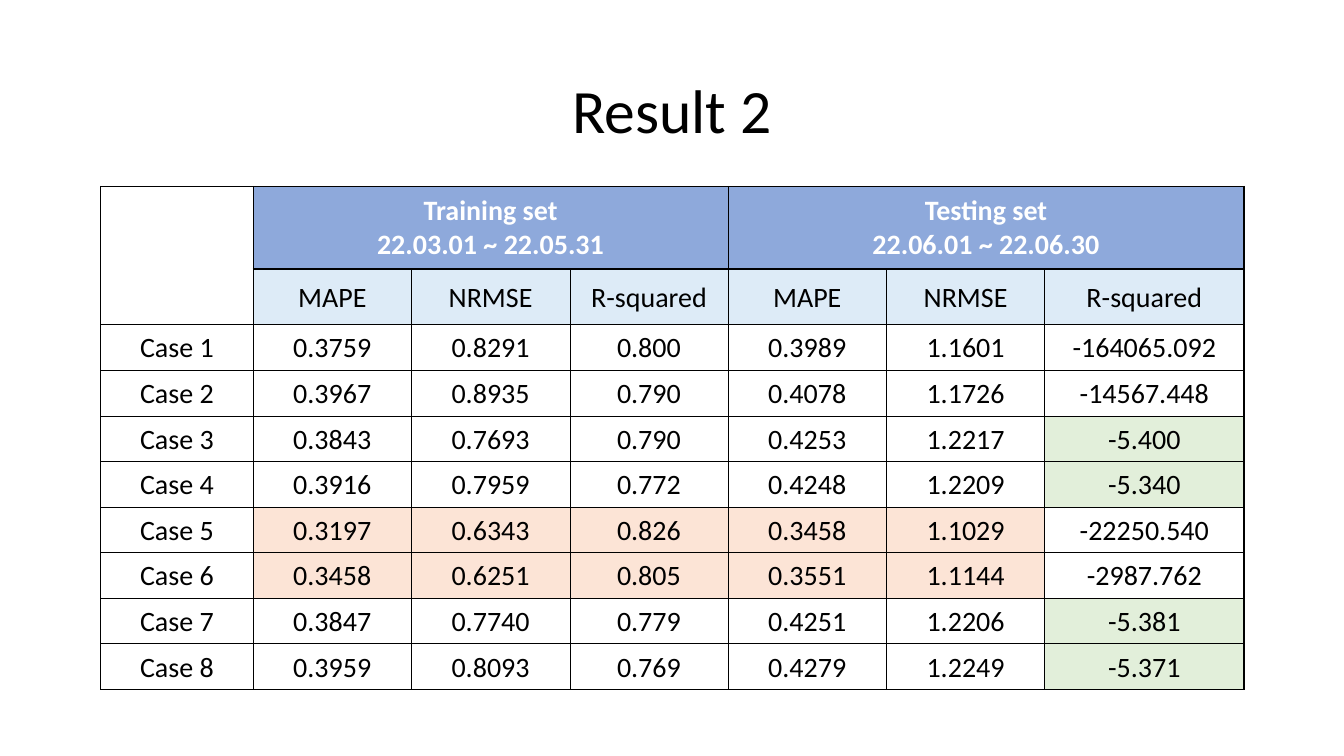
from lxml.etree import SubElement
from pptx import Presentation
from pptx.dml.color import RGBColor
from pptx.enum.text import MSO_ANCHOR, PP_ALIGN
from pptx.oxml.ns import qn
from pptx.util import Cm, Pt

BLACK, WHITE = "000000", "FFFFFF"
BLUE, PALE, GREEN, PEACH = "8EA9DB", "DDEBF7", "E2EFDA", "FCE4D6"
WIDTHS = [3.84] + [3.99] * 5 + [5.02]
HEIGHTS = [2.08, 1.4] + [1.15] * 8
HEADS = {1: "Training set\v22.03.01 ~ 22.05.31", 4: "Testing set\v22.06.01 ~ 22.06.30"}
METRICS = ["MAPE", "NRMSE", "R-squared"]
CASES = [
    ["0.3759", "0.8291", "0.800", "0.3989", "1.1601", "-164065.092"],
    ["0.3967", "0.8935", "0.790", "0.4078", "1.1726", "-14567.448"],
    ["0.3843", "0.7693", "0.790", "0.4253", "1.2217", "-5.400"],
    ["0.3916", "0.7959", "0.772", "0.4248", "1.2209", "-5.340"],
    ["0.3197", "0.6343", "0.826", "0.3458", "1.1029", "-22250.540"],
    ["0.3458", "0.6251", "0.805", "0.3551", "1.1144", "-2987.762"],
    ["0.3847", "0.7740", "0.779", "0.4251", "1.2206", "-5.381"],
    ["0.3959", "0.8093", "0.769", "0.4279", "1.2249", "-5.371"],
]


def tint(code):
    return RGBColor.from_string(code)


def write(frame, text, size=20, color=BLACK, bold=False, gap=1.0):
    para = frame.paragraphs[0]
    para.text = text
    para.alignment = PP_ALIGN.CENTER
    para.line_spacing = gap
    for run in para.runs:
        font = run.font
        font.name, font.size, font.bold = "Calibri", Pt(size), bold
        font.color.rgb = tint(color)


def edge(cell, side, width):
    line = SubElement(cell._tc.get_or_add_tcPr(), qn(f"a:ln{side}"), w=str(Pt(width)))
    fill = SubElement(line, qn("a:solidFill"))
    SubElement(fill, qn("a:srgbClr"), val=BLACK)


def frame_cell(cell, row, col):
    """Rule the cell, with heavier lines around each group of cells."""
    wide, tall = (0, 1, 4, 7), (0, 1, 2, 10)
    sides = {"L": col in wide, "R": col + 1 in wide, "T": row in tall, "B": row + 1 in tall}
    for side, heavy in sides.items():
        edge(cell, side, 1 if heavy or row == 0 else 0.5)


def shade(row, col):
    if row < 2:
        return WHITE if col == 0 else (BLUE, PALE)[row]
    if row in (6, 7) and 1 <= col <= 5:
        return PEACH
    if row in (4, 5, 8, 9) and col == 6:
        return GREEN
    return WHITE


def add_title(slide, left, top, width, height):
    box = slide.shapes.add_textbox(Cm(left), Cm(top), Cm(width), Cm(height))
    frame = box.text_frame
    frame.word_wrap = True
    frame.vertical_anchor = MSO_ANCHOR.MIDDLE
    write(frame, "Result 2", size=44, gap=0.9)


def add_scores(slide, left, top, width, height):
    rows = [[""] + [HEADS.get(col, "") for col in range(1, 7)], [""] + METRICS * 2]
    rows += [[f"Case {num}"] + case for num, case in enumerate(CASES, 1)]
    table = slide.shapes.add_table(
        len(rows), len(WIDTHS), Cm(left), Cm(top), Cm(width), Cm(height)).table
    table.first_row = table.horz_banding = False
    for col, share in zip(table.columns, WIDTHS):
        col.width = Cm(width * share / sum(WIDTHS))
    for row, share in zip(table.rows, HEIGHTS):
        row.height = Cm(height * share / sum(HEIGHTS))
    for row, texts in enumerate(rows):
        head = row == 0
        pads = (0.36, 0.18, 0.36, 0.18) if head else (0.05, 0.05, 0.05, 0)
        for col, text in enumerate(texts):
            cell = table.cell(row, col)
            frame_cell(cell, row, col)
            cell.fill.solid()
            cell.fill.fore_color.rgb = tint(shade(row, col))
            cell.vertical_anchor = MSO_ANCHOR.MIDDLE
            (cell.margin_left, cell.margin_top,
             cell.margin_right, cell.margin_bottom) = map(Cm, pads)
            if text:
                write(cell.text_frame, text, color=WHITE if head else BLACK, bold=head)
    table.cell(0, 0).merge(table.cell(1, 0))
    for col in HEADS:
        table.cell(0, col).merge(table.cell(0, col + 2))


def main():
    deck = Presentation()
    deck.slide_width, deck.slide_height = Cm(33.87), Cm(19.05)
    slide = deck.slides.add_slide(deck.slide_layouts[6])
    add_title(slide, 2.33, 1.02, 29.21, 3.68)
    add_scores(slide, 2.54, 4.7, sum(WIDTHS), sum(HEIGHTS))
    deck.save("out.pptx")


if __name__ == "__main__":
    main()
